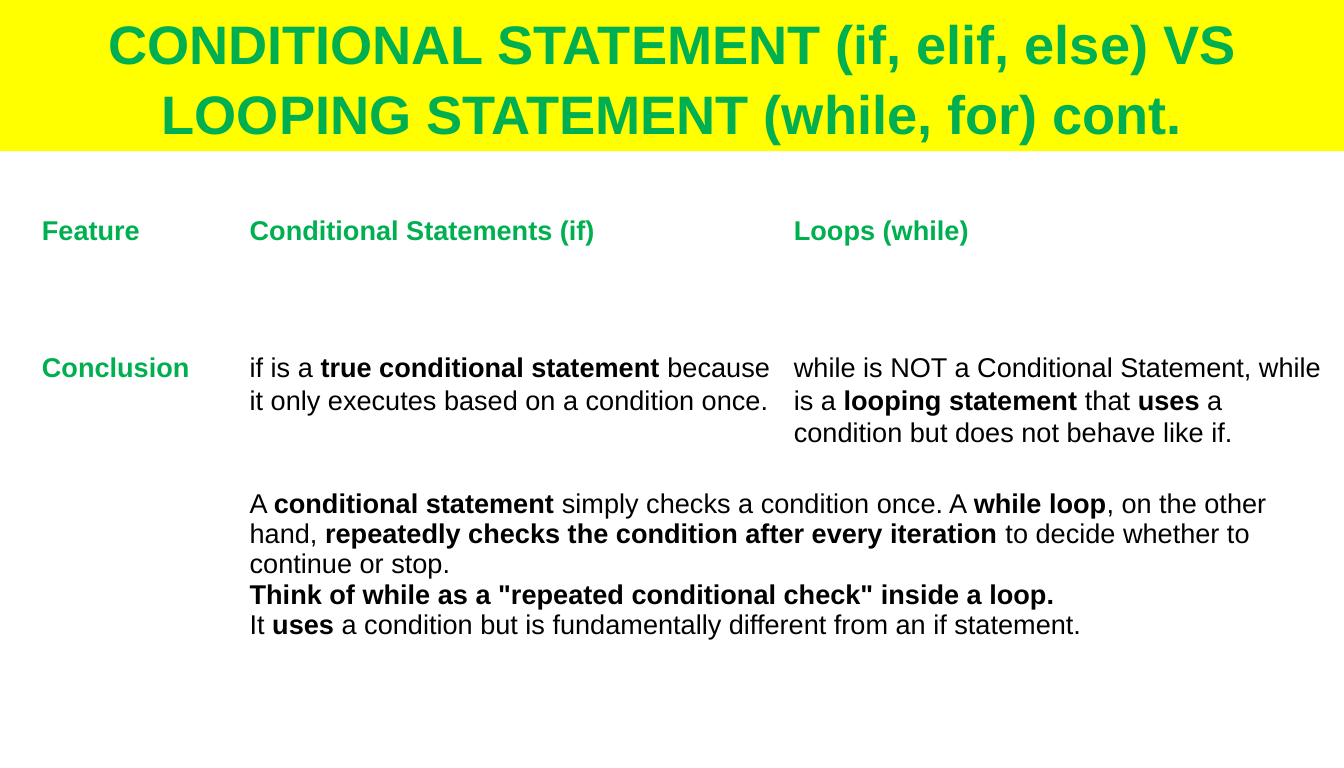
from pptx import Presentation
from pptx.dml.color import RGBColor
from pptx.enum.text import MSO_ANCHOR, MSO_AUTO_SIZE, PP_ALIGN
from pptx.util import Pt

PX = 9144
CENTER = PP_ALIGN.CENTER
MIDDLE = MSO_ANCHOR.MIDDLE
NO_FIT = MSO_AUTO_SIZE.NONE
TITLE_ONLY = 5
FONT = "Arial"
GREEN, YELLOW, BLACK = "00B050", "FFFF00", "000000"

TITLE = "**CONDITIONAL STATEMENT (if, elif, else) VS LOOPING STATEMENT (while, for) cont.**"
COLUMNS = [213, 558, 558]
ROWS = [53, 141, 141, 275]
HEADINGS = ["**Feature**", "**Conditional Statements (if)**", "**Loops (while)**"]
COMPARISON = [
    "if is a **true conditional statement** because it only executes based on a condition once.",
    "while is NOT a Conditional Statement, while is a **looping statement** that **uses** "
    "a condition but does not behave like if.",
]
SUMMARY = [
    "A **conditional statement** simply checks a condition once. A **while loop**, on the other "
    "hand, **repeatedly checks the condition after every iteration** to decide whether to "
    "continue or stop.",
    '**Think of while as a "repeated conditional check" inside a loop.**',
    "It **uses** a condition but is fundamentally different from an if statement.",
]


def px(length):
    return length * PX


def color(value):
    return RGBColor.from_string(value)


def write_para(para, text, size, ink, spaced=True):
    para.line_spacing = 1.07 if spaced else 1.0
    para.space_before = Pt(0)
    para.space_after = Pt(8 if spaced else 0)
    for index, part in enumerate(text.split("**")):
        if part:
            span = para.add_run()
            span.text = part
            span.font.name = FONT
            span.font.size = Pt(size)
            span.font.bold = index % 2 == 1
            span.font.color.rgb = color(ink)


def write_cell(cell, texts, ink=BLACK, spaced=True):
    cell.margin_left = cell.margin_right = px(7)
    cell.margin_top = cell.margin_bottom = 0
    frame = cell.text_frame
    for index, text in enumerate(texts):
        para = frame.add_paragraph() if index else frame.paragraphs[0]
        write_para(para, text, 20, ink, spaced)


def add_title(page, width):
    title = page.shapes.title
    title.left, title.top, title.width, title.height = 0, 0, width, px(155)
    title.fill.solid()
    title.fill.fore_color.rgb = color(YELLOW)
    frame = title.text_frame
    frame.word_wrap = True
    frame.auto_size = NO_FIT
    frame.vertical_anchor = MIDDLE
    para = frame.paragraphs[0]
    para.alignment = CENTER
    write_para(para, TITLE, 40, GREEN)


def add_grid(page):
    grid = page.shapes.add_table(
        len(ROWS), len(COLUMNS), px(36), px(166), px(sum(COLUMNS)), px(sum(ROWS))
    ).table
    for column, width in zip(grid.columns, COLUMNS):
        column.width = px(width)
    for row, height in zip(grid.rows, ROWS):
        row.height = px(height)
    for cell in grid.iter_cells():
        cell.fill.background()
    return grid


def add_comparison(page):
    grid = add_grid(page)
    grid.cell(2, 0).merge(grid.cell(3, 0))
    grid.cell(3, 1).merge(grid.cell(3, 2))
    for column, heading in enumerate(HEADINGS):
        write_cell(grid.cell(1, column), [heading], GREEN)
    write_cell(grid.cell(2, 0), ["**Conclusion**"], GREEN)
    for column, text in enumerate(COMPARISON, 1):
        write_cell(grid.cell(2, column), [text])
    write_cell(grid.cell(3, 1), SUMMARY, spaced=False)


def main():
    deck = Presentation()
    deck.slide_width, deck.slide_height = px(1378), px(787)
    page = deck.slides.add_slide(deck.slide_layouts[TITLE_ONLY])
    add_title(page, deck.slide_width)
    add_comparison(page)
    deck.save("out.pptx")


if __name__ == "__main__":
    main()
